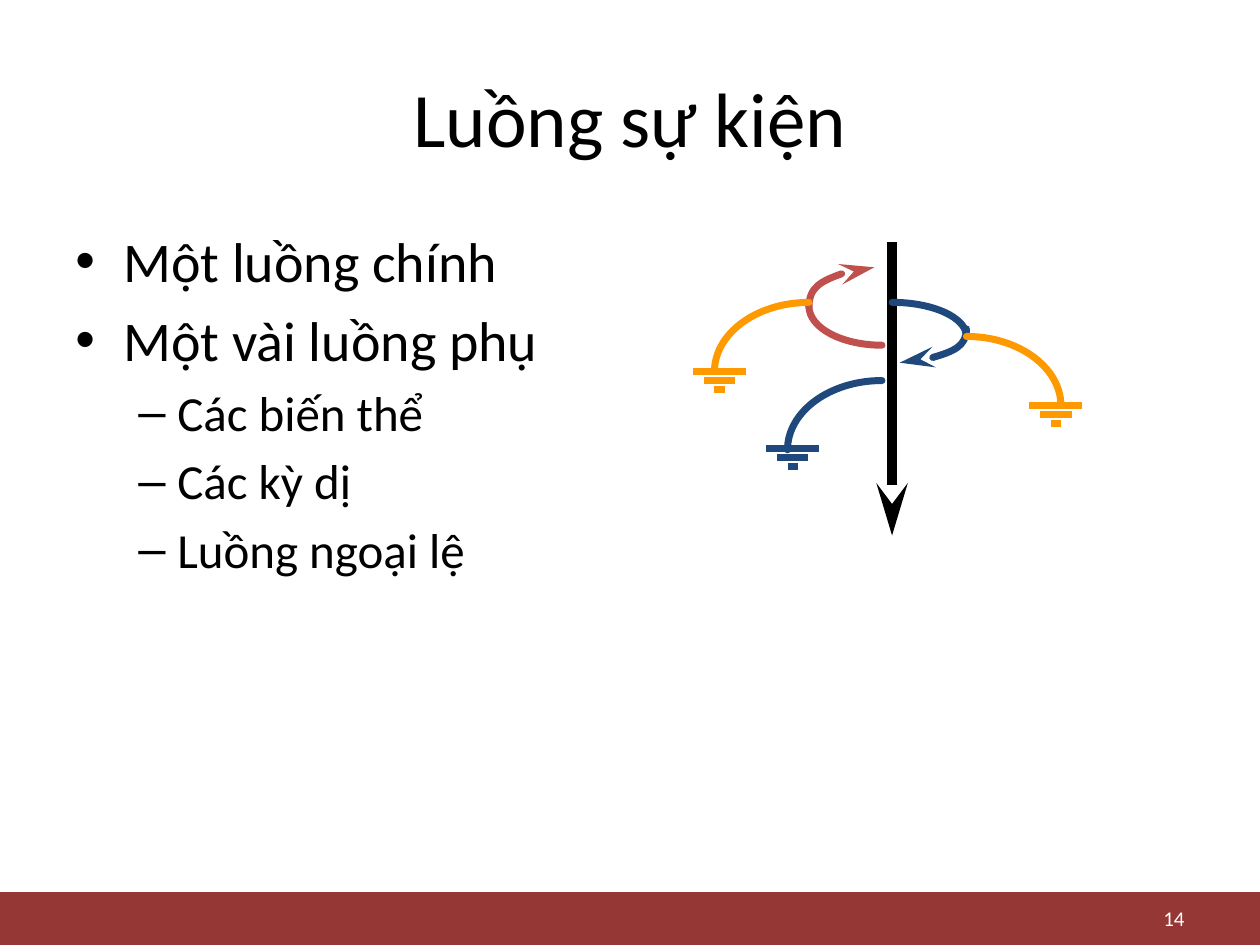
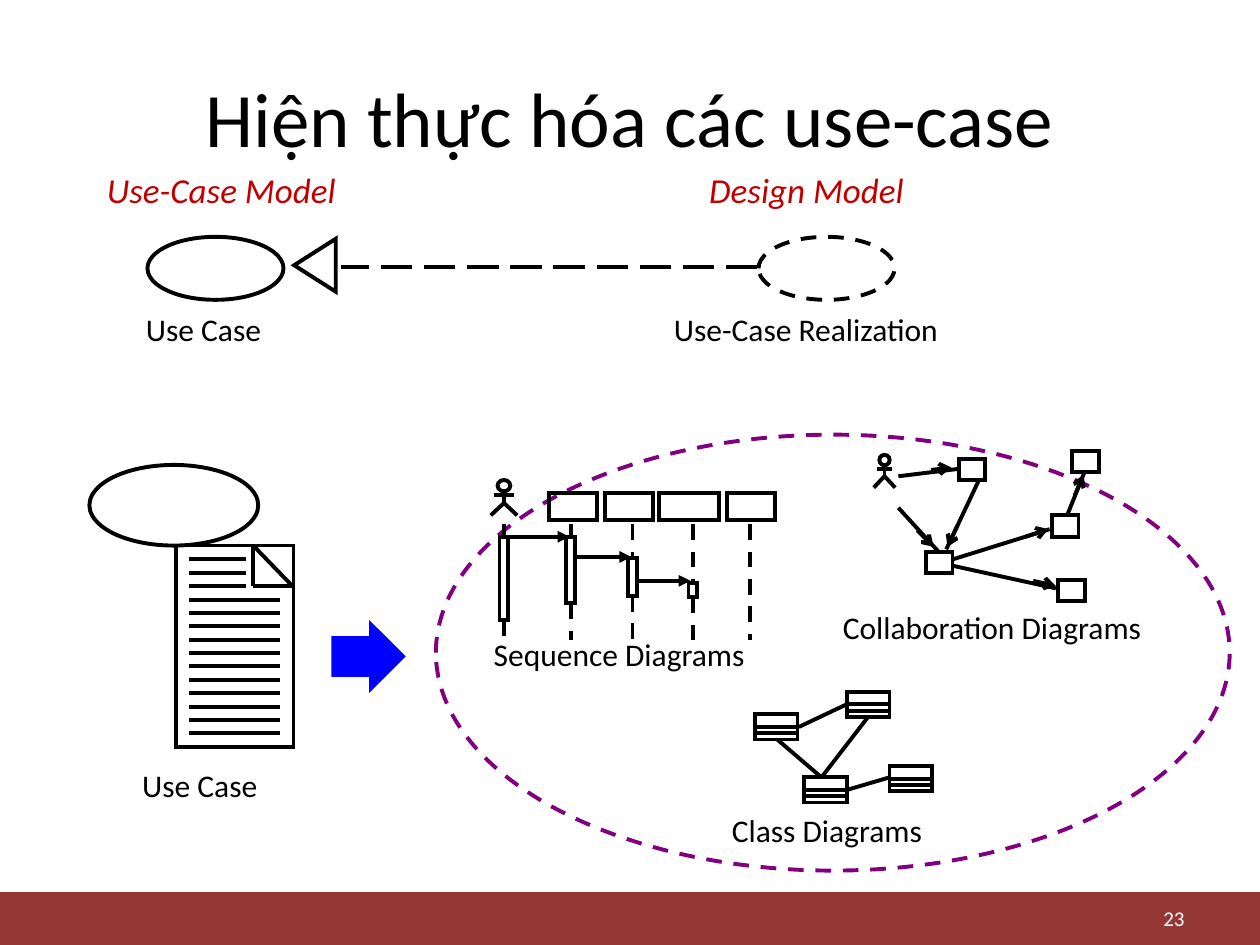
from dataclasses import dataclass, replace
from math import cos, radians, sin, tan
from typing import NamedTuple, Optional

from lxml.etree import SubElement
from pptx import Presentation
from pptx.dml.color import RGBColor
from pptx.enum.dml import MSO_LINE as Dash
from pptx.enum.shapes import MSO_CONNECTOR as Link, MSO_SHAPE as Preset
from pptx.enum.text import MSO_ANCHOR as Anchor, PP_ALIGN as Align
from pptx.oxml.ns import qn
from pptx.util import Cm, Pt


@dataclass(frozen=True)
class Theme:
    font: str = "Calibri"
    bullet_font: str = "Arial"
    ink: str = "000000"
    paper: str = "FFFFFF"
    band: str = "953735"
    heading: str = "C00000"
    navy: str = "1F497D"
    red: str = "C0504D"
    orange: str = "FF9900"
    purple: str = "800080"
    blue: str = "0000FF"
    title_size: int = 44
    body_size: int = 32
    sub_size: int = 28
    heading_size: int = 20
    label_size: int = 18
    number_size: int = 12


THEME = Theme()


@dataclass(frozen=True)
class Stroke:
    color: str = THEME.ink
    width: float = 2.25
    dash: Optional[Dash] = None
    head: Optional[str] = None
    head_length: str = "med"
    round_cap: bool = False


@dataclass(frozen=True)
class TextStyle:
    size: int
    color: str = THEME.ink
    italic: bool = False
    align: Align = Align.LEFT
    anchor: Anchor = Anchor.TOP


class Box(NamedTuple):
    left: float
    top: float
    width: float
    height: float


class Label(NamedTuple):
    text: str
    box: Box


class Level(NamedTuple):
    mark: str
    margin: float
    hanging: float
    size: int


class Bullet(NamedTuple):
    text: str
    depth: int


class Arc(NamedTuple):
    x: float
    y: float
    rx: float
    ry: float
    start: int
    end: int
    stroke: Stroke


class Ground(NamedTuple):
    x: float
    y: float
    stroke: Stroke


class Lifeline(NamedTuple):
    x: float
    active_top: float
    active_height: float


THIN = Stroke()
DASHED = Stroke(dash=Dash.DASH)
TITLE = TextStyle(THEME.title_size, align=Align.CENTER, anchor=Anchor.MIDDLE)
NUMBER = TextStyle(THEME.number_size, THEME.paper, align=Align.RIGHT, anchor=Anchor.MIDDLE)
HEADING = TextStyle(THEME.heading_size, THEME.heading, italic=True)
LABEL = TextStyle(THEME.label_size)
LEVELS = (Level("•", 0.38, 0.38, THEME.body_size), Level("–", 0.81, 0.31, THEME.sub_size))


def inch(value: float) -> Cm:
    return Cm(value * 2.54)


def outline(shape, stroke: Stroke) -> None:
    shape.line.color.rgb = RGBColor.from_string(stroke.color)
    shape.line.width = Pt(stroke.width)
    if stroke.dash:
        shape.line.dash_style = stroke.dash
    ln = shape.element.spPr.find(qn("a:ln"))
    if stroke.round_cap:
        ln.set("cap", "rnd")
        SubElement(ln, qn("a:round"))
    else:
        SubElement(ln, qn("a:miter"), lim="800000")
    if stroke.head:
        SubElement(ln, qn("a:tailEnd"), type=stroke.head, w="med", len=stroke.head_length)


def draw_line(slide, x1: float, y1: float, x2: float, y2: float, stroke: Stroke = THIN) -> None:
    line = slide.shapes.add_connector(Link.STRAIGHT, inch(x1), inch(y1), inch(x2), inch(y2))
    outline(line, stroke)
    SubElement(line.element.spPr, qn("a:effectLst"))


def draw_shape(slide, preset: Preset, box: Box, stroke: Optional[Stroke] = THIN,
               fill: Optional[str] = None):
    shape = slide.shapes.add_shape(preset, *map(inch, box))
    shape.shadow.inherit = False
    if fill:
        shape.fill.solid()
        shape.fill.fore_color.rgb = RGBColor.from_string(fill)
    else:
        shape.fill.background()
    if stroke:
        outline(shape, stroke)
    else:
        shape.line.fill.background()
    return shape


def draw_path(slide, points: list, stroke: Stroke = THIN):
    first, *rest = [(inch(x), inch(y)) for x, y in points]
    builder = slide.shapes.build_freeform(*first)
    builder.add_line_segments(rest, close=False)
    path = builder.convert_to_shape()
    path.shadow.inherit = False
    path.fill.background()
    outline(path, stroke)
    return path


def style_paragraph(paragraph, style: TextStyle) -> None:
    paragraph.alignment = style.align
    font = paragraph.font
    font.name, font.size, font.italic = THEME.font, Pt(style.size), style.italic
    font.color.rgb = RGBColor.from_string(style.color)


def add_frame(slide, box: Box, anchor: Anchor = Anchor.TOP):
    frame = slide.shapes.add_textbox(*map(inch, box)).text_frame
    frame.word_wrap = True
    frame.vertical_anchor = anchor
    return frame


def draw_label(slide, label: Label, style: TextStyle = LABEL) -> None:
    paragraph = add_frame(slide, label.box, style.anchor).paragraphs[0]
    paragraph.text = label.text
    style_paragraph(paragraph, style)


def draw_bullets(slide, box: Box, bullets: list) -> None:
    frame = add_frame(slide, box)
    for index, bullet in enumerate(bullets):
        paragraph = frame.add_paragraph() if index else frame.paragraphs[0]
        level = LEVELS[bullet.depth]
        paragraph.text = bullet.text
        paragraph.level = bullet.depth
        paragraph.space_before = Pt(level.size * 0.2)
        properties = paragraph._p.get_or_add_pPr()
        properties.set("marL", str(inch(level.margin)))
        properties.set("indent", str(-inch(level.hanging)))
        SubElement(properties, qn("a:buFont"), typeface=THEME.bullet_font)
        SubElement(properties, qn("a:buChar"), char=level.mark)
        style_paragraph(paragraph, TextStyle(level.size))


def start_slide(deck, title: str, number: str):
    slide = deck.slides.add_slide(deck.slide_layouts[6])
    draw_shape(slide, Preset.RECTANGLE, Box(0, 7.08, 10, 0.42), None, THEME.band)
    draw_label(slide, Label(title, Box(0.5, 0.3, 9, 1.25)), TITLE)
    draw_label(slide, Label(number, Box(7.17, 7.15, 2.33, 0.27)), NUMBER)
    return slide


def draw_arc(slide, arc: Arc) -> None:
    start, end = radians(arc.start), radians(arc.end)
    pull = 4 / 3 * tan((end - start) / 4)
    unit = [(cos(start), sin(start)),
            (cos(start) - pull * sin(start), sin(start) + pull * cos(start)),
            (cos(end) + pull * sin(end), sin(end) - pull * cos(end)),
            (cos(end), sin(end))]
    curve = draw_path(slide, [(arc.x + arc.rx * u, arc.y + arc.ry * v) for u, v in unit], arc.stroke)
    segments = list(curve.element.iter(qn("a:lnTo")))
    bezier = SubElement(segments[0].getparent(), qn("a:cubicBezTo"))
    for segment in segments:
        bezier.append(segment[0])
        segment.getparent().remove(segment)


def draw_ground(slide, ground: Ground) -> None:
    for row, half in enumerate((0.21, 0.125, 0.04)):
        y = ground.y + 0.07 * row
        draw_line(slide, ground.x - half, y, ground.x + half, y, ground.stroke)


def draw_actor(slide, x: float, top: float, width: float, height: float) -> None:
    neck, arms, hips = (top + height * part for part in (0.32, 0.42, 0.65))
    head = width * 0.48
    draw_shape(slide, Preset.OVAL, Box(x - head / 2, top, head, neck - top))
    draw_line(slide, x, neck, x, hips)
    draw_line(slide, x - width * 0.36, arms, x + width * 0.36, arms)
    draw_path(slide, [(x - width / 2, top + height), (x, hips), (x + width / 2, top + height)])


def build_event_flow(deck) -> None:
    slide = start_slide(deck, "Luồng sự kiện", "14")
    draw_bullets(slide, Box(0.5, 1.75, 9, 3.83), [
        Bullet("Một luồng chính", 0),
        Bullet("Một vài luồng phụ", 0),
        Bullet("Các biến thể", 1),
        Bullet("Các kỳ dị", 1),
        Bullet("Luồng ngoại lệ", 1),
    ])
    draw_line(slide, 7.08, 1.92, 7.08, 4.25, Stroke(width=6, head="stealth", head_length="lg"))
    navy, red, orange = (Stroke(c, 4) for c in (THEME.navy, THEME.red, THEME.orange))
    navy_arrow, red_arrow = (replace(s, head="stealth", head_length="lg") for s in (navy, red))
    for arc in (
        Arc(7.08, 2.67, 0.59, 0.27, -90, 0, navy),
        Arc(7.09, 2.61, 0.58, 0.27, 0, 85, navy_arrow),
        Arc(7, 2.43, 0.58, 0.31, 90, 180, red),
        Arc(7, 2.44, 0.58, 0.32, 180, 264, red_arrow),
        Arc(7.67, 3.22, 0.75, 0.55, -90, 0, orange),
        Arc(7, 3.57, 0.75, 0.55, 180, 270, navy),
        Arc(6.42, 2.95, 0.75, 0.55, 180, 270, orange),
    ):
        draw_arc(slide, arc._replace(stroke=replace(arc.stroke, round_cap=True)))
    for ground in (Ground(8.38, 3.22, orange), Ground(6.29, 3.56, navy), Ground(5.71, 2.95, orange)):
        draw_ground(slide, ground)


def draw_class_diagram(slide) -> None:
    for left, top in ((5.99, 5.67), (6.72, 5.49), (6.38, 6.17), (7.06, 6.08)):
        draw_shape(slide, Preset.RECTANGLE, Box(left, top, 0.34, 0.2))
        for offset in (0.1, 0.15):
            draw_line(slide, left, top + offset, left + 0.34, top + offset)
    for association in ((6.52, 6.17, 6.17, 5.87), (6.34, 5.77, 6.72, 5.59),
                        (6.72, 6.27, 7.06, 6.17), (6.52, 6.17, 6.89, 5.69)):
        draw_line(slide, *association)


def draw_use_case_document(slide) -> None:
    draw_shape(slide, Preset.OVAL, Box(0.71, 3.69, 1.34, 0.64))
    draw_shape(slide, Preset.RECTANGLE, Box(1.4, 4.33, 0.93, 1.6))
    for fold in ((2.01, 4.33, 2.32, 4.65), (2.01, 4.33, 2.01, 4.65), (2.32, 4.65, 2.01, 4.65)):
        draw_line(slide, *fold)
    pitch = (5.82 - 4.44) / 13
    for row in range(14):
        y = 4.44 + row * pitch
        draw_line(slide, 1.5, y, 1.95 if row < 3 else 2.22, y)


def draw_collaboration_diagram(slide) -> None:
    draw_actor(slide, 7.02, 3.61, 0.17, 0.26)
    for link in ((7.13, 4.03, 7.45, 4.38), (7.13, 3.78, 7.62, 3.72), (7.56, 4.49, 8.38, 4.67),
                 (7.56, 4.44, 8.33, 4.2), (8.47, 4.09, 8.61, 3.74), (7.77, 3.81, 7.51, 4.36)):
        draw_line(slide, *link)
    for message in ((7.28, 4.21, 7.41, 4.34), (7.6, 4.17, 7.52, 4.34), (8.14, 4.26, 8.32, 4.2),
                    (8.2, 4.61, 8.38, 4.65), (8.53, 3.93, 8.6, 3.77), (7.39, 3.73, 7.55, 3.71)):
        draw_line(slide, *message, Stroke(head="arrow"))
    for left, top in ((7.61, 3.64), (7.35, 4.38), (8.4, 4.6), (8.35, 4.09), (8.51, 3.58)):
        draw_shape(slide, Preset.RECTANGLE, Box(left, top, 0.21, 0.17))


def draw_sequence_diagram(slide) -> None:
    draw_actor(slide, 4, 3.81, 0.21, 0.28)
    for x1, x2, y in ((3.99, 4.52, 4.26), (4.56, 5.01, 4.42), (5.07, 5.48, 4.61)):
        draw_line(slide, x1, y, x2, y, Stroke(head="triangle"))
    for life in (Lifeline(4, 4.26, 0.66), Lifeline(4.53, 4.26, 0.53),
                 Lifeline(5.02, 4.43, 0.3), Lifeline(5.5, 4.63, 0.11)):
        draw_line(slide, life.x, 4.16, life.x, life.active_top, DASHED)
        draw_line(slide, life.x, life.active_top + life.active_height, life.x, 5.08, DASHED)
        draw_shape(slide, Preset.RECTANGLE,
                   Box(life.x - 0.035, life.active_top, 0.07, life.active_height))
    draw_line(slide, 5.95, 4.16, 5.95, 5.08, DASHED)
    for left, width in ((4.36, 0.38), (4.8, 0.38), (5.23, 0.48), (5.77, 0.38)):
        draw_shape(slide, Preset.RECTANGLE, Box(left, 3.91, width, 0.22))


def build_realization(deck) -> None:
    slide = start_slide(deck, "Hiện thực hóa các use-case", "23")
    draw_shape(slide, Preset.OVAL, Box(3.46, 3.45, 6.3, 3.46), replace(DASHED, color=THEME.purple))
    for draw_part in (draw_class_diagram, draw_use_case_document,
                      draw_collaboration_diagram, draw_sequence_diagram):
        draw_part(slide)
    for left, stroke in ((1.17, THIN), (6.02, DASHED)):
        draw_shape(slide, Preset.OVAL, Box(left, 1.88, 1.08, 0.5), stroke)
    draw_line(slide, 6.01, 2.12, 2.71, 2.12, Stroke(dash=Dash.LONG_DASH))
    draw_shape(slide, Preset.ISOSCELES_TRIANGLE, Box(2.29, 1.94, 0.42, 0.33)).rotation = 270
    arrow = draw_shape(slide, Preset.RIGHT_ARROW, Box(2.63, 4.92, 0.59, 0.58), None, THEME.blue)
    arrow.adjustments[0], arrow.adjustments[1] = 0.56, 0.5
    for text, left in (("Use-Case Model", 0.75), ("Design Model", 5.53)):
        draw_label(slide, Label(text, Box(left, 1.29, 2.83, 0.43)), HEADING)
    for label in (
        Label("Use Case", Box(1.06, 2.41, 1.3, 0.4)),
        Label("Use-Case Realization", Box(5.25, 2.41, 2.62, 0.4)),
        Label("Use Case", Box(1.03, 6.03, 1.69, 0.4)),
        Label("Sequence Diagrams", Box(3.82, 4.99, 2.48, 0.4)),
        Label("Collaboration Diagrams", Box(6.59, 4.78, 2.82, 0.4)),
        Label("Class Diagrams", Box(5.71, 6.39, 1.97, 0.4)),
    ):
        draw_label(slide, label)


def main() -> None:
    deck = Presentation()
    deck.slide_width, deck.slide_height = Cm(25.4), Cm(19.05)
    build_event_flow(deck)
    build_realization(deck)
    deck.save("out.pptx")


if __name__ == "__main__":
    main()
